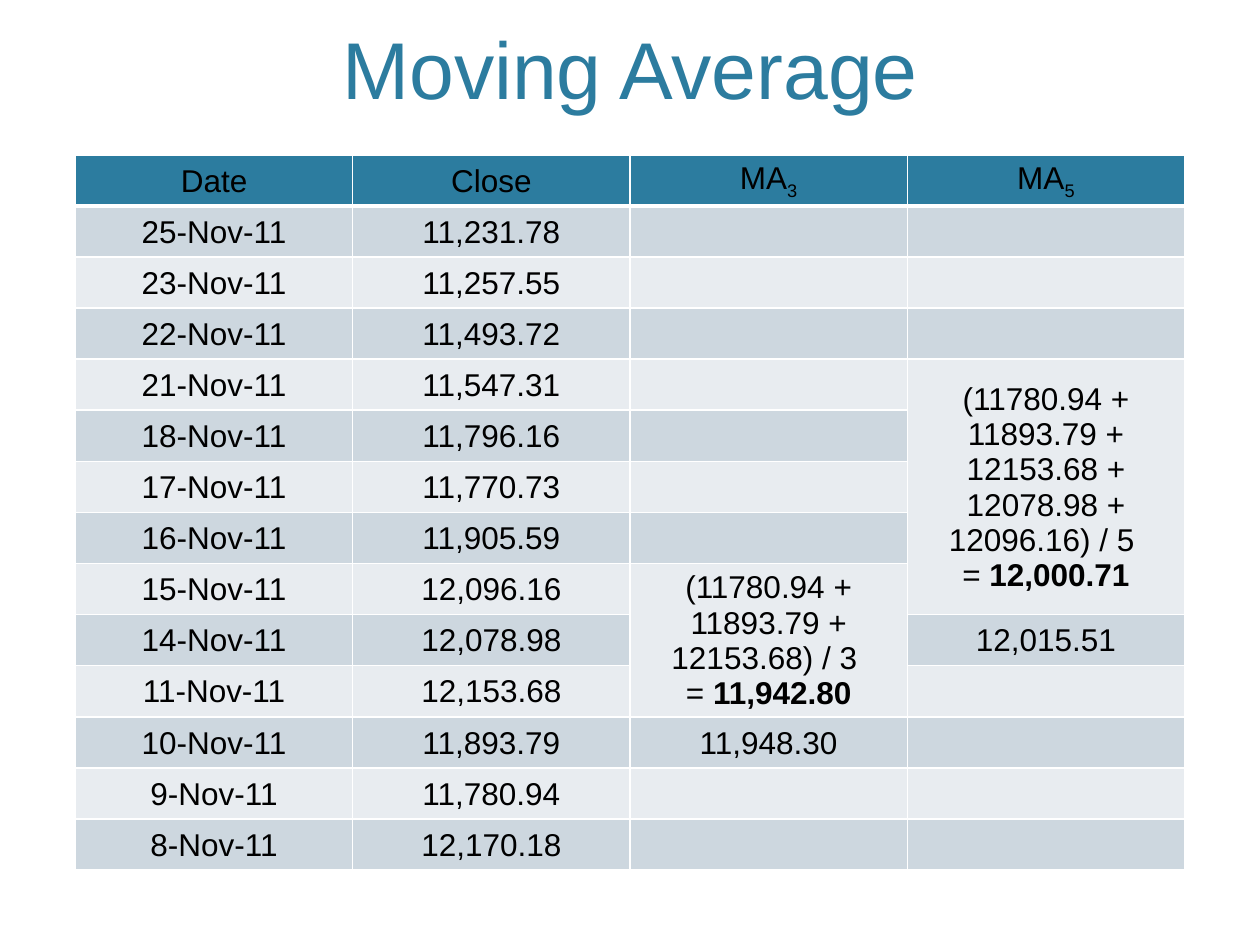
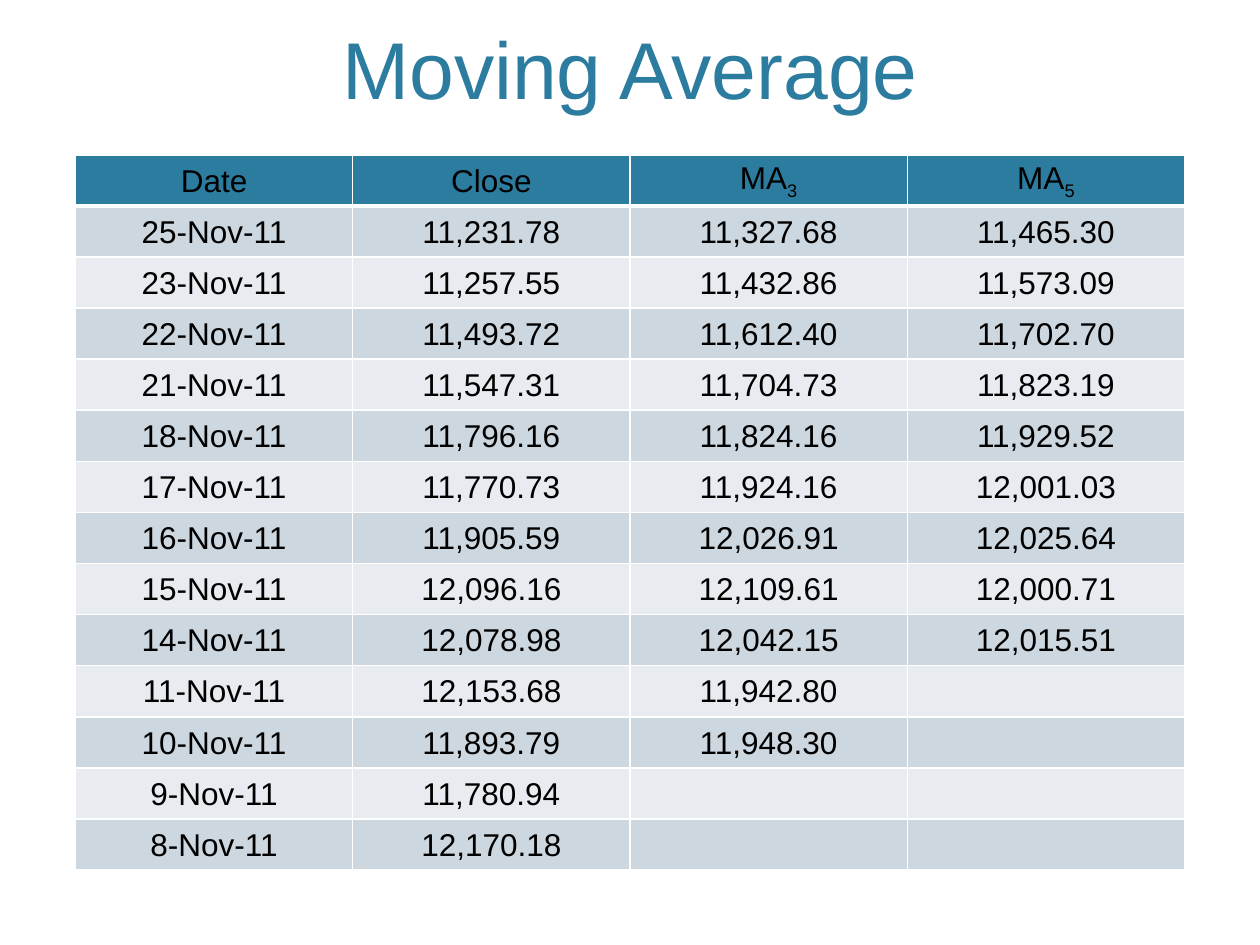
from dataclasses import dataclass
from itertools import zip_longest

from lxml.etree import SubElement
from pptx import Presentation
from pptx.dml.color import RGBColor as Rgb
from pptx.enum.text import MSO_ANCHOR as Anchor, MSO_AUTO_SIZE as AutoSize, PP_ALIGN as Align
from pptx.oxml.ns import qn
from pptx.util import Cm, Pt


@dataclass(frozen=True)
class Theme:
    """Colours, type sizes and line widths shared by the slides."""
    font: str = "Arial"
    accent: str = "2C7C9F"
    ink: str = "000000"
    rule: str = "FFFFFF"
    bands: tuple = ("CDD7DF", "E8ECF0")
    title_size: int = 46
    cell_size: int = 18
    thin: int = 1
    thick: int = 3


THEME = Theme()
LEFT, CONTENT_WIDTH = Cm(1.52), Cm(22.36)
TITLE_TOP, TITLE_HEIGHT = Cm(0.3), Cm(2.16)
TABLE_TOP, ROW_HEIGHT = Cm(3.12), Cm(1.03)
CELL_INSET = Cm(0.03)

HEADINGS = [[["Date"]], [["Close"]],
            [["MA", ("3", "sub")]], [["MA", ("5", "sub")]]]
DATES = ["25-Nov-11", "23-Nov-11", "22-Nov-11", "21-Nov-11", "18-Nov-11",
         "17-Nov-11", "16-Nov-11", "15-Nov-11", "14-Nov-11", "11-Nov-11",
         "10-Nov-11", "9-Nov-11", "8-Nov-11"]
CLOSES = ["11,231.78", "11,257.55", "11,493.72", "11,547.31", "11,796.16",
          "11,770.73", "11,905.59", "12,096.16", "12,078.98", "12,153.68",
          "11,893.79", "11,780.94", "12,170.18"]
MA3 = ["11,327.68", "11,432.86", "11,612.40", "11,704.73", "11,824.16",
       "11,924.16", "12,026.91", "12,109.61", "12,042.15", "11,942.80",
       "11,948.30"]
MA5 = ["11,465.30", "11,573.09", "11,702.70", "11,823.19", "11,929.52",
       "12,001.03", "12,025.64", "12,000.71", "12,015.51"]
MA3_WORKING = [["(11780.94 + 11893.79 + 12153.68) / 3 "],
               ["= ", ("11,942.80", "bold")]]
MA5_WORKING = [["(11780.94 + 11893.79 + 12153.68 + 12078.98 + 12096.16) / 5 "],
               ["= ", ("12,000.71", "bold")]]


def write(frame, paragraphs, size=THEME.cell_size, color=THEME.ink, align=Align.CENTER):
    """Fill a text frame with paragraphs of plain or (text, style) runs."""
    for index, pieces in enumerate(paragraphs):
        paragraph = frame.add_paragraph() if index else frame.paragraphs[0]
        paragraph.alignment = align
        for piece in pieces:
            text, style = (piece, "") if isinstance(piece, str) else piece
            run = paragraph.add_run()
            run.text = text
            run.font.name = THEME.font
            run.font.size = Pt(size)
            run.font.color.rgb = Rgb.from_string(color)
            run.font.bold = style == "bold"
            if style == "sub":
                run._r.get_or_add_rPr().set("baseline", "-25000")


def add_title(slide, text):
    """Place and format the title placeholder."""
    title = slide.shapes.title
    title.left, title.top = LEFT, TITLE_TOP
    title.width, title.height = CONTENT_WIDTH, TITLE_HEIGHT
    frame = title.text_frame
    frame.word_wrap = True
    frame.auto_size = AutoSize.NONE
    frame.vertical_anchor = Anchor.BOTTOM
    write(frame, [[text]], size=THEME.title_size, color=THEME.accent)


def border_cell(cell, top, bottom):
    """Rule all four sides of a cell, with given top and bottom widths."""
    properties = cell._tc.get_or_add_tcPr()
    for side, width in zip("LRTB", (THEME.thin, THEME.thin, top, bottom)):
        line = SubElement(properties, qn(f"a:ln{side}"), w=str(Pt(width)))
        paint = SubElement(line, qn("a:solidFill"))
        SubElement(paint, qn("a:srgbClr"), val=THEME.rule)


def format_cell(cell, row):
    """Give a cell its insets, borders and the fill of its row."""
    cell.vertical_anchor = Anchor.MIDDLE
    cell.margin_left = cell.margin_right = cell.margin_top = CELL_INSET
    cell.margin_bottom = 0
    border_cell(cell, top=THEME.thick if row == 1 else THEME.thin,
                bottom=THEME.thick if row == 0 else THEME.thin)
    cell.fill.solid()
    fill = THEME.bands[(row - 1) % 2] if row else THEME.accent
    cell.fill.fore_color.rgb = Rgb.from_string(fill)


def add_price_table(slide, ma3, ma5, workings=()):
    """Add the price table; workings are (row, column, rows spanned, text)."""
    prices = zip_longest(DATES, CLOSES, ma3, ma5, fillvalue="")
    rows = [HEADINGS] + [[[[value]] if value else [] for value in day] for day in prices]
    table = slide.shapes.add_table(len(rows), len(HEADINGS), LEFT, TABLE_TOP,
                                   CONTENT_WIDTH, ROW_HEIGHT * len(rows)).table
    for row, contents in enumerate(rows):
        table.rows[row].height = ROW_HEIGHT
        for column, content in enumerate(contents):
            cell = table.cell(row, column)
            format_cell(cell, row)
            write(cell.text_frame, content)
    for row, column, span, working in workings:
        cell = table.cell(row, column)
        cell.merge(table.cell(row + span - 1, column))
        write(cell.text_frame, working)


def add_average_slide(deck, *columns, **options):
    """Add one titled slide with a price table."""
    slide = deck.slides.add_slide(deck.slide_layouts[5])
    add_title(slide, "Moving Average")
    add_price_table(slide, *columns, **options)


def oldest_only(averages):
    """Blank every average except the oldest."""
    return [""] * (len(averages) - 1) + averages[-1:]


def main():
    """Build and save the deck."""
    deck = Presentation()
    deck.slide_width, deck.slide_height = Cm(25.4), Cm(19.05)
    add_average_slide(deck, oldest_only(MA3), oldest_only(MA5),
                      workings=[(8, 2, 3, MA3_WORKING), (4, 3, 5, MA5_WORKING)])
    add_average_slide(deck, MA3, MA5)
    deck.save("out.pptx")


if __name__ == "__main__":
    main()
